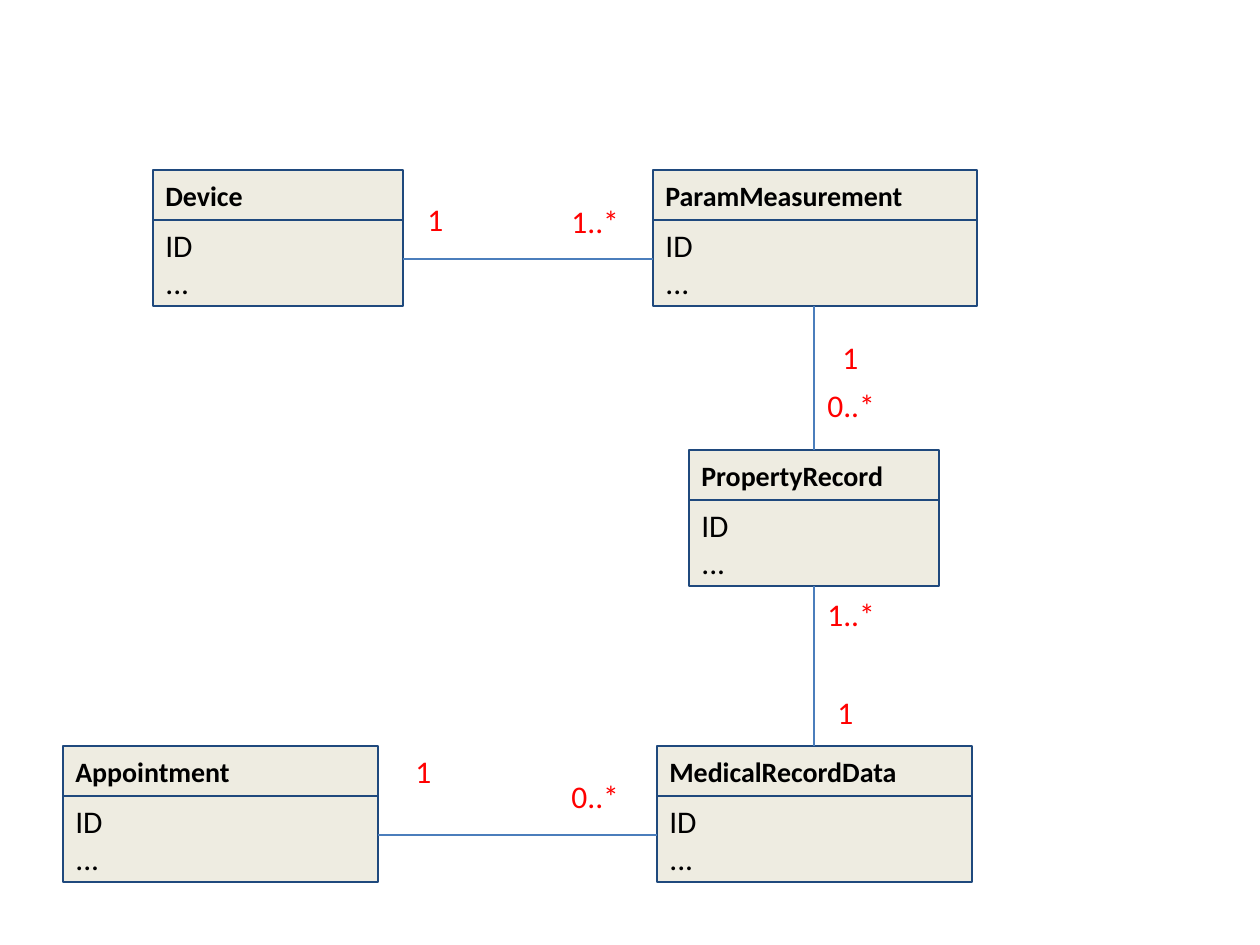
import dataclasses

import lxml.etree
import pptx
import pptx.dml.color
import pptx.enum.shapes
import pptx.enum.text
import pptx.oxml.ns
import pptx.util

PX = 914400 / 126
HEADER_HEIGHT = 50
BODY_OFFSET = 43
BODY_HEIGHT = 93
CLASS_HEIGHT = BODY_OFFSET + BODY_HEIGHT
LABEL_HEIGHT = 50


@dataclasses.dataclass(frozen=True)
class Theme:
    font: str = "Calibri"
    fill: str = "EEECE1"
    border: str = "1F497D"
    link: str = "4B7EBC"
    text: str = "000000"
    label: str = "FF0000"
    name_size: int = 16
    text_size: int = 18
    border_width: float = 1.5
    link_width: float = 0.75


THEME = Theme()


@dataclasses.dataclass(frozen=True)
class Box:
    left: int
    top: int
    width: int
    height: int = CLASS_HEIGHT

    @property
    def right(self):
        return self.left + self.width

    @property
    def bottom(self):
        return self.top + self.height

    @property
    def center(self):
        return self.left + self.width // 2

    @property
    def body_middle(self):
        return self.top + BODY_OFFSET + BODY_HEIGHT // 2


def emu(*lengths):
    return [pptx.util.Emu(round(length * PX)) for length in lengths]


def rgb(value):
    return pptx.dml.color.RGBColor.from_string(value)


def write(frame, lines, size, color, bold=False):
    frame.text = "\n".join(lines)
    for para in frame.paragraphs:
        para.alignment = pptx.enum.text.PP_ALIGN.LEFT
        para.font.name = THEME.font
        para.font.size = pptx.util.Pt(size)
        para.font.bold = bold
        para.font.color.rgb = rgb(color)


def add_compartment(group, box, lines, size, anchor, bold=False):
    shape = group.shapes.add_shape(
        pptx.enum.shapes.MSO_SHAPE.RECTANGLE,
        *emu(box.left, box.top, box.width, box.height))
    shape.shadow.inherit = False
    shape.fill.solid()
    shape.fill.fore_color.rgb = rgb(THEME.fill)
    shape.line.color.rgb = rgb(THEME.border)
    shape.line.width = pptx.util.Pt(THEME.border_width)
    frame = shape.text_frame
    frame.word_wrap = True
    frame.vertical_anchor = anchor
    inset = pptx.util.Inches(0.1)
    frame.margin_left = frame.margin_right = inset
    frame.margin_top = frame.margin_bottom = inset
    write(frame, lines, size, THEME.text, bold)


def add_class(page, name, box):
    """Group the attribute compartment with the name header over its top edge."""
    group = page.shapes.add_group_shape()
    anchors = pptx.enum.text.MSO_ANCHOR
    body = Box(box.left, box.top + BODY_OFFSET, box.width, BODY_HEIGHT)
    header = Box(box.left, box.top, box.width, HEADER_HEIGHT)
    add_compartment(group, body, ["ID", "..."], THEME.text_size, anchors.TOP)
    add_compartment(group, header, [name], THEME.name_size, anchors.MIDDLE, True)


def add_link(page, start, end):
    link = page.shapes.add_connector(
        pptx.enum.shapes.MSO_CONNECTOR.STRAIGHT, *emu(*start, *end))
    link.line.color.rgb = rgb(THEME.link)
    link.line.width = pptx.util.Pt(THEME.link_width)
    properties = link._element.spPr
    lxml.etree.SubElement(properties, pptx.oxml.ns.qn("a:effectLst"))


def link_across(page, left_box, right_box):
    y = left_box.body_middle
    add_link(page, (left_box.right, y), (right_box.left, y))


def link_down(page, upper_box, lower_box, x):
    add_link(page, (x, upper_box.bottom), (x, lower_box.top))


def add_multiplicity(page, text, left, top):
    width = 42 if len(text) == 1 else 73
    label = page.shapes.add_textbox(*emu(left, top, width, LABEL_HEIGHT))
    frame = label.text_frame
    write(frame, [text], THEME.text_size, THEME.label)
    frame.word_wrap = False
    frame.auto_size = pptx.enum.text.MSO_AUTO_SIZE.SHAPE_TO_FIT_TEXT


def add_class_diagram(page):
    classes = {
        "Device": Box(153, 170, 250),
        "ParamMeasurement": Box(653, 170, 324),
        "PropertyRecord": Box(689, 450, 250),
        "MedicalRecordData": Box(657, 746, 315),
        "Appointment": Box(63, 746, 315),
    }
    for name, box in classes.items():
        add_class(page, name, box)

    device, measurement, record, medical, appointment = classes.values()
    link_across(page, device, measurement)
    link_across(page, appointment, medical)
    link_down(page, measurement, record, record.center)
    link_down(page, record, medical, record.center)

    multiplicities = [
        ("1", 415, 194), ("1..*", 559, 196),
        ("1", 830, 332), ("0..*", 815, 380),
        ("1..*", 815, 589), ("1", 825, 687),
        ("1", 403, 746), ("0..*", 559, 771),
    ]
    for text, left, top in multiplicities:
        add_multiplicity(page, text, left, top)


def main():
    deck = pptx.Presentation()
    deck.slide_width, deck.slide_height = emu(1260, 945)
    page = deck.slides.add_slide(deck.slide_layouts[6])
    add_class_diagram(page)
    deck.save("out.pptx")


if __name__ == "__main__":
    main()
